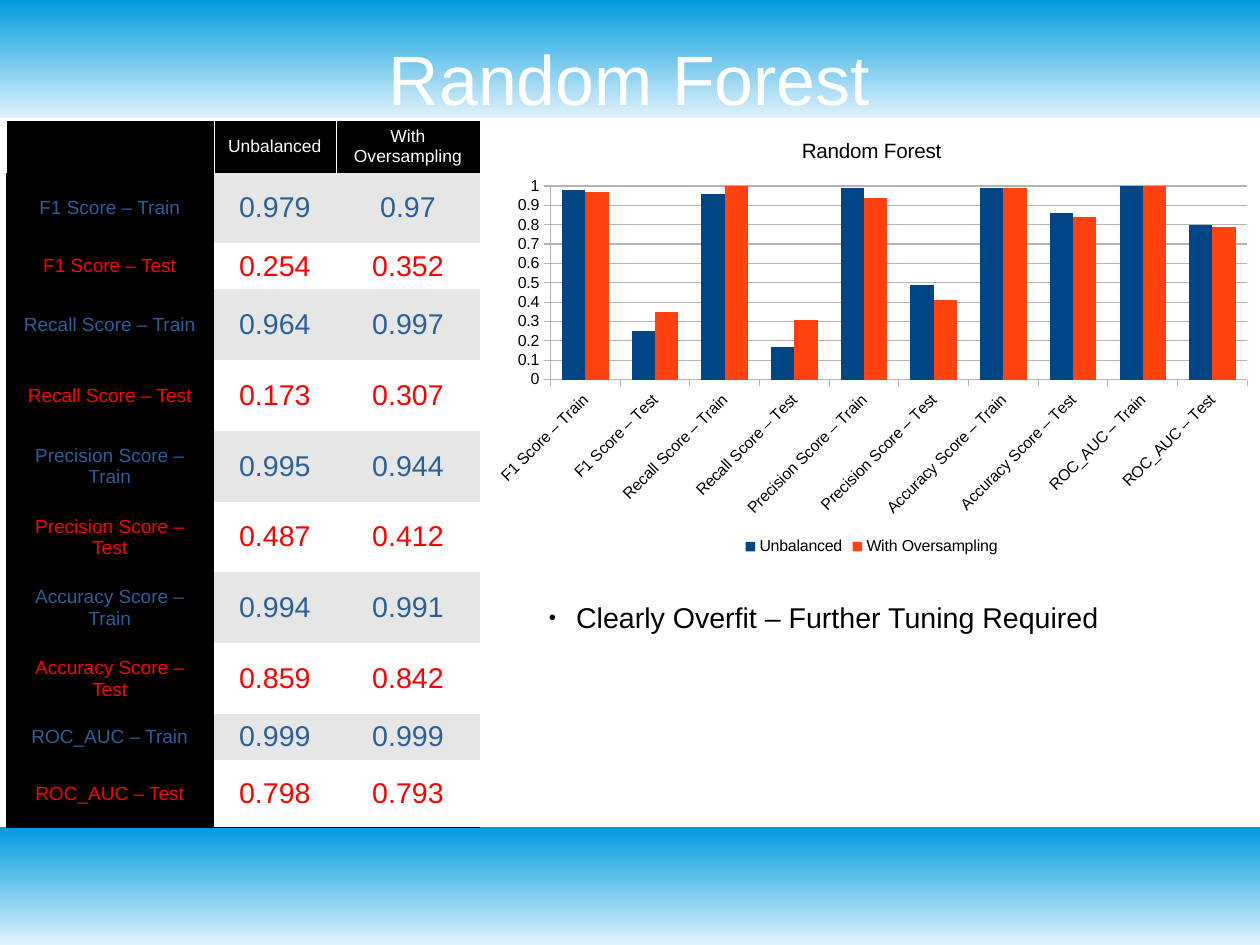
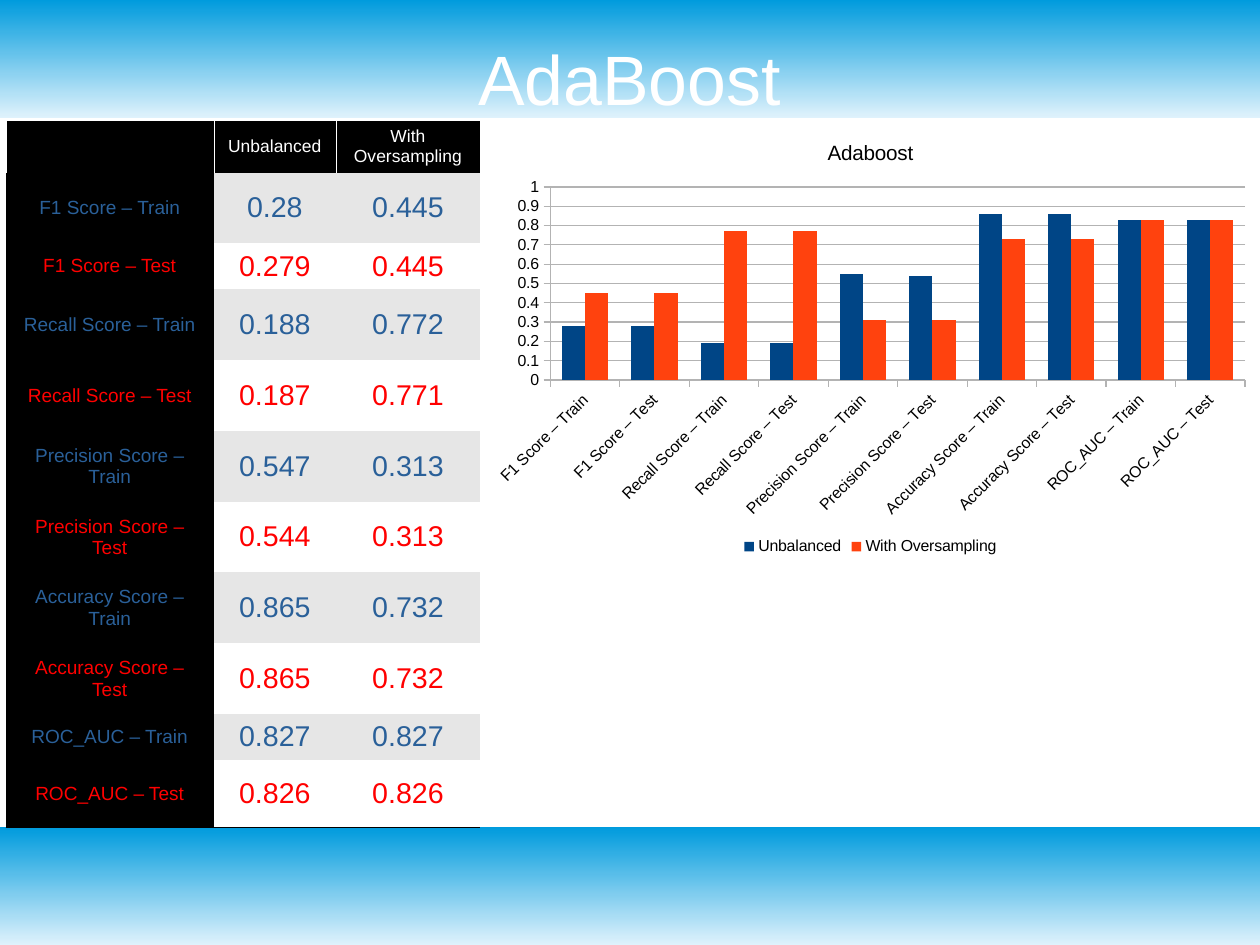
from lxml import etree
from pptx import Presentation
from pptx.chart.data import CategoryChartData
from pptx.dml.color import RGBColor
from pptx.enum.chart import XL_CHART_TYPE, XL_LEGEND_POSITION, XL_TICK_MARK
from pptx.enum.shapes import MSO_SHAPE
from pptx.enum.text import MSO_ANCHOR, MSO_AUTO_SIZE, PP_ALIGN
from pptx.oxml.ns import qn
from pptx.util import Inches, Pt

COLUMN_CLUSTERED = XL_CHART_TYPE.COLUMN_CLUSTERED
LEGEND_BOTTOM = XL_LEGEND_POSITION.BOTTOM
TICK_OUTSIDE = XL_TICK_MARK.OUTSIDE
RECTANGLE = MSO_SHAPE.RECTANGLE
MIDDLE, TOP = MSO_ANCHOR.MIDDLE, MSO_ANCHOR.TOP
NO_AUTOFIT = MSO_AUTO_SIZE.NONE
CENTER, LEFT = PP_ALIGN.CENTER, PP_ALIGN.LEFT

# Content
SERIES_NAMES = ["Unbalanced", "With Oversampling"]
METRICS = [
    f"{score} – {part}"
    for score in ("F1 Score", "Recall Score", "Precision Score", "Accuracy Score", "ROC_AUC")
    for part in ("Train", "Test")
]
MODELS = [
    {
        "title": "Random Forest",
        "chart_title": "Random Forest",
        "chart_box": (4.2, 1.05, 6.85, 3.85),
        "scores": [
            (0.979, 0.97), (0.254, 0.352), (0.964, 0.997), (0.173, 0.307), (0.995, 0.944),
            (0.487, 0.412), (0.994, 0.991), (0.859, 0.842), (0.999, 0.999), (0.798, 0.793),
        ],
        "remark": "Clearly Overfit – Further Tuning Required",
    },
    {
        "title": "AdaBoost",
        "chart_title": "Adaboost",
        "chart_box": (4.2, 1.06, 6.83, 3.84),
        "scores": [
            (0.28, 0.445), (0.279, 0.445), (0.188, 0.772), (0.187, 0.771), (0.547, 0.313),
            (0.544, 0.313), (0.865, 0.732), (0.865, 0.732), (0.827, 0.827), (0.826, 0.826),
        ],
        "remark": None,
    },
]

# Shared style
FONT = "Arial"
WHITE = RGBColor(0xFF, 0xFF, 0xFF)
BLACK = RGBColor(0x00, 0x00, 0x00)
BAND_LIGHT = RGBColor(0xDF, 0xF2, 0xFC)
BAND_BLUE = RGBColor(0x00, 0x9B, 0xDD)
TRAIN_BLUE = RGBColor(0x2A, 0x60, 0x99)
TEST_RED = RGBColor(0xFF, 0x00, 0x00)
ROW_GREY = RGBColor(0xE6, 0xE6, 0xE6)
AXIS_GREY = RGBColor(0xB3, 0xB3, 0xB3)
SERIES_COLORS = [RGBColor(0x00, 0x45, 0x86), RGBColor(0xFF, 0x42, 0x0E)]

# The page measures 28 by 21 centimetres
SLIDE_WIDTH, SLIDE_HEIGHT = 28 / 2.54, 21 / 2.54
BAND_HEIGHT = 1.03
TITLE_BOX = (0.55, 0.33, 9.92, 0.7)
TABLE_BOX = (0.05, 1.05, 4.15, 6.15)
REMARK_BOX = (4.7, 5.2, 6.1, 0.38)
COLUMN_WIDTHS = [1.82, 1.07, 1.26]
ROW_HEIGHTS = [0.46, 0.62, 0.4, 0.62, 0.62, 0.62, 0.62, 0.62, 0.62, 0.4, 0.59]
PLOT_FRACTIONS = {"x": 0.09, "y": 0.15, "w": 0.89, "h": 0.44}
NO_TABLE_STYLE = "{2D5ABB26-0587-4C30-8999-92F81FD0307C}"
BORDER_WIDTH = Pt(0.06)


def inches(box):
    return [Inches(length) for length in box]


def place(shape, box):
    shape.left, shape.top, shape.width, shape.height = inches(box)


def format_font(font, size, color):
    font.name, font.size, font.bold = FONT, Pt(size), False
    font.color.rgb = color


def write(text_frame, text, size, color, alignment, anchor):
    text_frame.text = text
    text_frame.vertical_anchor = anchor
    paragraph = text_frame.paragraphs[0]
    paragraph.alignment = alignment
    for run in paragraph.runs:
        format_font(run.font, size, color)
    return paragraph


def add_element(parent, tag, **attributes):
    return etree.SubElement(parent, qn(tag), attributes)


def add_bands(slide, master):
    """Draw the top and bottom bands and hand them to the master."""
    for position, top in enumerate((0, SLIDE_HEIGHT - BAND_HEIGHT)):
        band = slide.shapes.add_shape(
            RECTANGLE, *inches((0, top, SLIDE_WIDTH, BAND_HEIGHT)))
        band.shadow.inherit = False
        band.line.fill.background()
        band.fill.gradient()
        band.fill.gradient_angle = 90
        for stop, color in zip(band.fill.gradient_stops, (BAND_LIGHT, BAND_BLUE)):
            stop.color.rgb = color
        master.shapes._spTree.insert(2 + position, band._element)


def add_title(slide, text):
    text_frame = slide.shapes.title.text_frame
    write(text_frame, text, 44, WHITE, CENTER, MIDDLE)
    text_frame.auto_size = NO_AUTOFIT
    text_frame.margin_left = text_frame.margin_right = 0
    text_frame.margin_top = text_frame.margin_bottom = 0


def add_borders(cell, sides, color):
    properties = cell._tc.get_or_add_tcPr()
    for side in sides:
        line = add_element(properties, f"a:ln{side}", w=str(BORDER_WIDTH))
        fill = add_element(line, "a:solidFill")
        add_element(fill, "a:srgbClr", val=str(color))


def add_score_table(slide, scores):
    rows = [["", *SERIES_NAMES]]
    rows += [[metric, *map(str, pair)] for metric, pair in zip(METRICS, scores)]
    frame = slide.shapes.add_table(len(rows), len(COLUMN_WIDTHS), *inches(TABLE_BOX))
    table = frame.table
    table.first_row = table.horz_banding = False
    table._tbl.tblPr.find(qn("a:tableStyleId")).text = NO_TABLE_STYLE
    for column, width in zip(table.columns, COLUMN_WIDTHS):
        column.width = Inches(width)
    for row, height in zip(table.rows, ROW_HEIGHTS):
        row.height = Inches(height)

    for row_index, texts in enumerate(rows):
        is_header, is_train = row_index == 0, row_index % 2 == 1
        for column_index, text in enumerate(texts):
            cell = table.cell(row_index, column_index)
            # Borders come before the fill in the cell properties
            if is_header:
                add_borders(cell, "LRT", WHITE)
            elif row_index == len(rows) - 1:
                add_borders(cell, "B", BLACK)
            cell.fill.solid()
            if is_header or column_index == 0:
                cell.fill.fore_color.rgb = BLACK
            else:
                cell.fill.fore_color.rgb = ROW_GREY if is_train else WHITE
            if is_header:
                size, color = 11, WHITE
            else:
                size = 12 if column_index == 0 else 18
                color = TRAIN_BLUE if is_train else TEST_RED
            if text:
                write(cell.text_frame, text, size, color, CENTER, MIDDLE)
            cell.vertical_anchor = MIDDLE


def set_plot_layout(chart):
    plot_area = chart._chartSpace.chart.plotArea
    for layout in plot_area.findall(qn("c:layout")):
        plot_area.remove(layout)
    layout = etree.Element(qn("c:layout"))
    plot_area.insert(0, layout)
    manual = add_element(layout, "c:manualLayout")
    add_element(manual, "c:layoutTarget", val="inner")
    for name in "xy":
        add_element(manual, f"c:{name}Mode", val="edge")
    for name, fraction in PLOT_FRACTIONS.items():
        add_element(manual, f"c:{name}", val=str(fraction))


def add_score_chart(slide, model):
    data = CategoryChartData()
    data.categories = METRICS
    for name, values in zip(SERIES_NAMES, zip(*model["scores"])):
        data.add_series(name, [round(value, 2) for value in values])
    chart = slide.shapes.add_chart(
        COLUMN_CLUSTERED, *inches(model["chart_box"]), data).chart
    format_font(chart.font, 10, BLACK)

    # Title and legend
    chart.has_title = True
    write(chart.chart_title.text_frame, model["chart_title"], 13, BLACK, CENTER, MIDDLE)
    chart.chart_title.include_in_layout = False
    chart.has_legend = True
    chart.legend.position = LEGEND_BOTTOM
    chart.legend.include_in_layout = False
    format_font(chart.legend.font, 10, BLACK)

    # Axes
    for axis in (chart.category_axis, chart.value_axis):
        axis.major_tick_mark = TICK_OUTSIDE
        axis.format.line.color.rgb = AXIS_GREY
        axis.format.line.width = 0
        format_font(axis.tick_labels.font, 10, BLACK)
    label_body = chart.category_axis._element.find(f"{qn('c:txPr')}/{qn('a:bodyPr')}")
    label_body.set("rot", "-2700000")
    value_axis = chart.value_axis
    value_axis.minimum_scale, value_axis.maximum_scale = 0, 1
    value_axis.major_unit = 0.1
    value_axis.tick_labels.number_format = "General"
    value_axis.tick_labels.number_format_is_linked = False
    value_axis.major_gridlines.format.line.color.rgb = AXIS_GREY
    value_axis.major_gridlines.format.line.width = 0

    # Columns
    plot = chart.plots[0]
    plot.gap_width, plot.overlap = 100, 0
    plot.vary_by_categories = False
    for series, color in zip(plot.series, SERIES_COLORS):
        series.format.fill.solid()
        series.format.fill.fore_color.rgb = color
    set_plot_layout(chart)


def add_remark(slide, text):
    body = slide.placeholders[1]
    place(body, REMARK_BOX)
    paragraph = write(body.text_frame, text, 18, BLACK, LEFT, TOP)
    body.text_frame.auto_size = NO_AUTOFIT
    paragraph.space_before = Pt(0)
    properties = paragraph._p.get_or_add_pPr()
    properties.set("marL", str(Inches(0.24)))
    properties.set("indent", str(-Inches(0.24)))
    bullet_color = add_element(properties, "a:buClr")
    add_element(bullet_color, "a:srgbClr", val=str(BLACK))
    add_element(properties, "a:buSzPct", val="45000")
    add_element(properties, "a:buFont", typeface=FONT)
    add_element(properties, "a:buChar", char="●")


def main():
    presentation = Presentation()
    presentation.slide_width = Inches(SLIDE_WIDTH)
    presentation.slide_height = Inches(SLIDE_HEIGHT)
    master = presentation.slide_master
    for placeholder in master.placeholders:
        if placeholder.placeholder_format.idx == 0:
            place(placeholder, TITLE_BOX)
            break
    list_layout, title_layout = presentation.slide_layouts[1], presentation.slide_layouts[5]

    for index, model in enumerate(MODELS):
        layout = list_layout if model["remark"] else title_layout
        slide = presentation.slides.add_slide(layout)
        if index == 0:
            add_bands(slide, master)
        add_title(slide, model["title"])
        add_score_table(slide, model["scores"])
        if model["remark"]:
            add_remark(slide, model["remark"])
        add_score_chart(slide, model)

    presentation.save("out.pptx")


if __name__ == "__main__":
    main()
